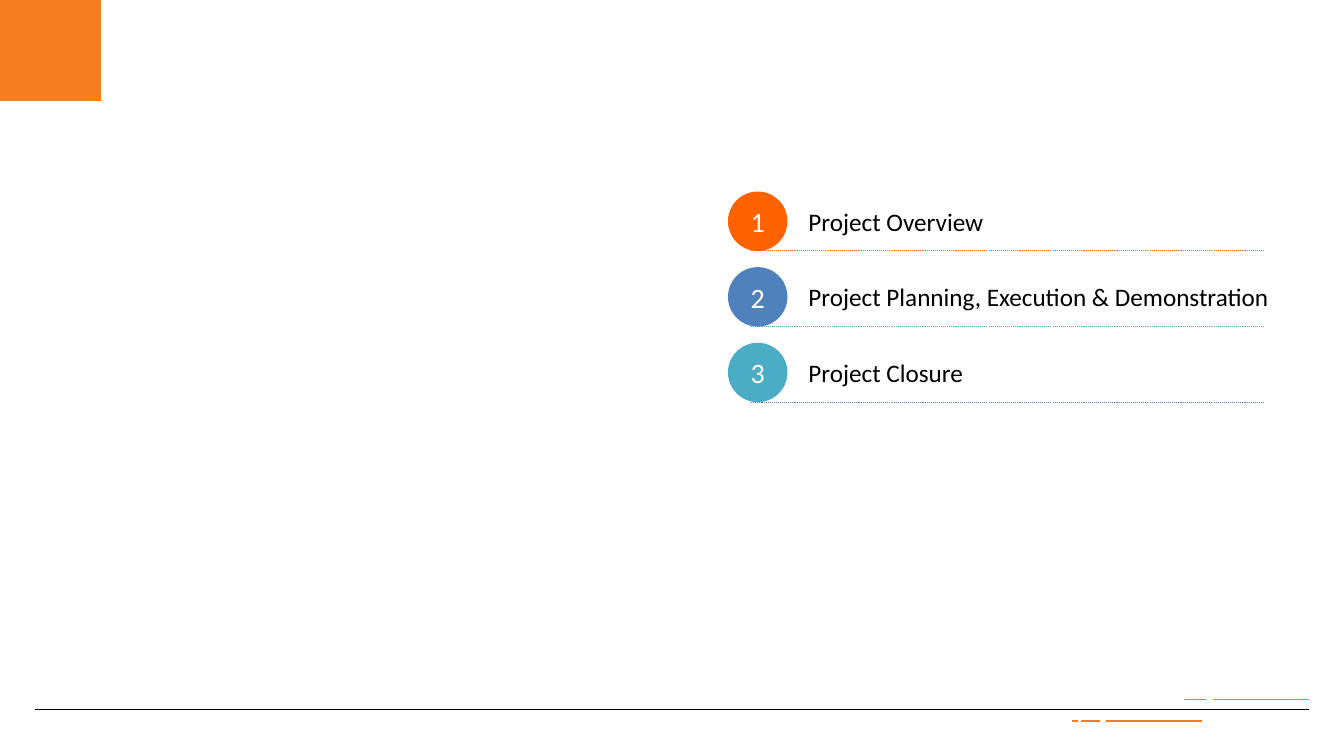
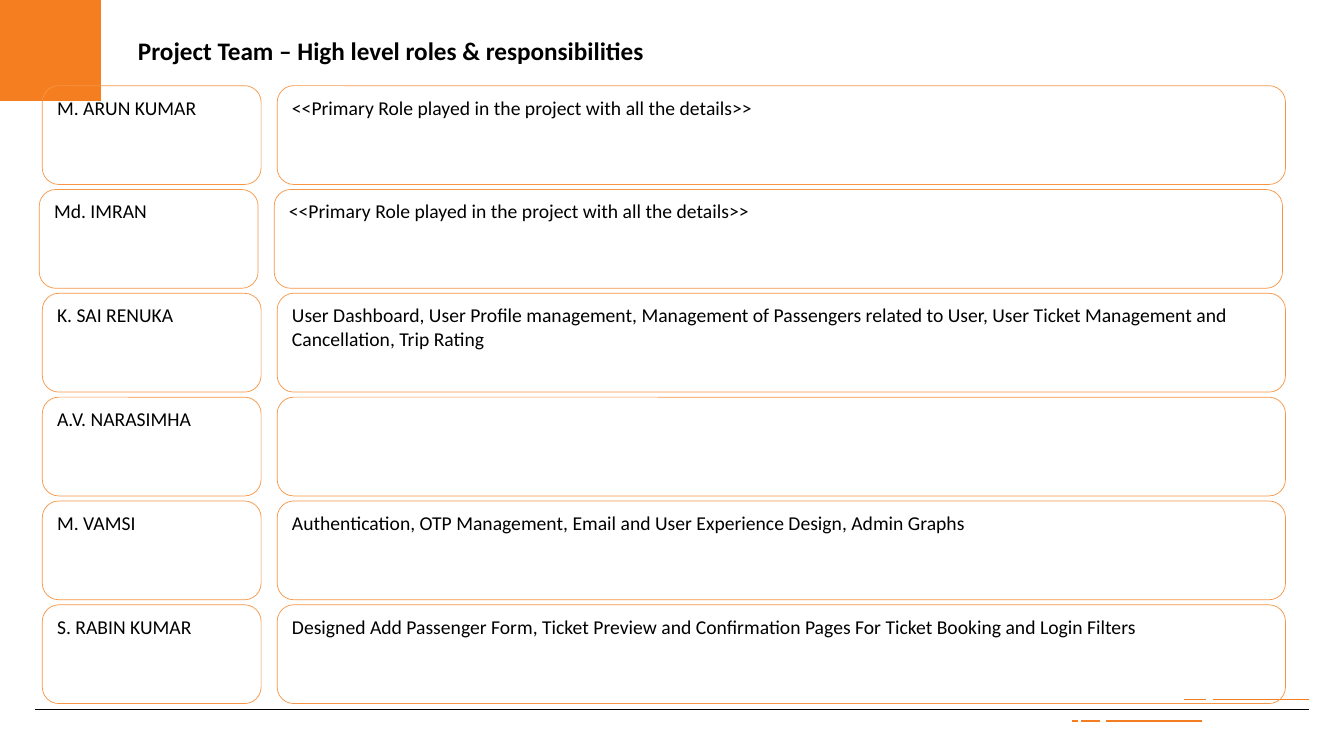
from dataclasses import dataclass
from typing import NamedTuple, Optional

from lxml.etree import SubElement
from pptx import Presentation
from pptx.dml.color import RGBColor
from pptx.enum.dml import MSO_LINE
from pptx.enum.shapes import MSO_CONNECTOR, MSO_SHAPE
from pptx.enum.text import MSO_ANCHOR, PP_ALIGN
from pptx.oxml.ns import qn
from pptx.shapes.base import BaseShape
from pptx.slide import Slide
from pptx.util import Inches, Pt


# Theme: colours, font, type sizes and line weights
@dataclass(frozen=True)
class Theme:
    font: str = "Calibri"
    black: str = "000000"
    white: str = "FFFFFF"
    flag: str = "F47E20"
    dash: str = "F57D21"
    frame: str = "F79646"
    orange: str = "FF6200"
    blue: str = "4F81BD"
    teal: str = "4BACC6"
    heading_size: float = 18
    number_size: float = 20
    body_size: float = 14
    footer_weight: float = 1.24
    rule_weight: float = 0.75
    frame_weight: float = 0.5


THEME = Theme()


class Area(NamedTuple):
    left: float
    top: float
    width: float
    height: float


class Rule(NamedTuple):
    left: float
    right: float
    top: float
    color: str


class AgendaItem(NamedTuple):
    title: str
    badge_color: str
    rule_color: str
    width: float = 3.74


class Member(NamedTuple):
    name: str
    role: str
    shift: float = 0


# Shared page furniture
FLAG_PARTS = [
    [(0.97, 0.35), (0, 0.35), (0, 0.63), (0.83, 0.63)],
    [(1.08, 0.35), (1, 0.35), (0.86, 0.63), (0.94, 0.63)],
    [(1.2, 0.35), (1.12, 0.35), (1.04, 0.51), (1.12, 0.51)],
]
FOOTER_RULES = [
    Rule(0.35, 12.98, 7.04, THEME.black),
    Rule(12.03, 12.98, 6.94, THEME.dash),
    Rule(11.74, 11.96, 6.94, THEME.dash),
    Rule(10.97, 11.92, 7.15, THEME.dash),
    Rule(10.72, 10.91, 7.15, THEME.dash),
    Rule(10.63, 10.69, 7.15, THEME.dash),
]
TITLE_AREA = Area(1.27, 0.25, 7.2, 0.51)

# Slide content
AGENDA = [
    AgendaItem("Project Overview", THEME.orange, THEME.orange),
    AgendaItem("Project Planning, Execution & Demonstration",
               THEME.blue, THEME.teal, 5.08),
    AgendaItem("Project Closure", THEME.teal, THEME.blue),
]
ROLE_PROMPT = "<<Primary Role played in the project with all the details>>"
TEAM = [
    Member("M. ARUN KUMAR", ROLE_PROMPT),
    Member("Md. IMRAN", ROLE_PROMPT, -0.03),
    Member("K. SAI RENUKA",
           "User Dashboard, User Profile management, Management of Passengers "
           "related to User, User Ticket Management and Cancellation, Trip Rating"),
    Member("A.V. NARASIMHA", ""),
    Member("M. VAMSI", "Authentication, OTP Management, Email and User "
                       "Experience Design, Admin Graphs"),
    Member("S. RABIN KUMAR", "Designed Add Passenger Form, Ticket Preview and "
                             "Confirmation Pages For Ticket Booking and Login Filters"),
]


# Drawing functions
def rgb(color: str) -> RGBColor:
    return RGBColor.from_string(color)


def write(box: BaseShape, text: str, size: float, color: str = THEME.black,
          align: PP_ALIGN = PP_ALIGN.LEFT,
          anchor: MSO_ANCHOR = MSO_ANCHOR.MIDDLE, bold: bool = False) -> None:
    frame = box.text_frame
    frame.word_wrap = True
    frame.vertical_anchor = anchor
    para = frame.paragraphs[0]
    para.text = text
    para.alignment = align
    para.font.name = THEME.font
    para.font.size = Pt(size)
    para.font.bold = bold
    para.font.color.rgb = rgb(color)


def add_label(page: Slide, area: Area, text: str, bold: bool = False) -> None:
    box = page.shapes.add_textbox(*map(Inches, area))
    write(box, text, THEME.heading_size, bold=bold)


def add_box(page: Slide, preset: MSO_SHAPE, area: Area,
            fill: Optional[str] = None, line: Optional[str] = None) -> BaseShape:
    box = page.shapes.add_shape(preset, *map(Inches, area))
    box.shadow.inherit = False
    if fill:
        box.fill.solid()
        box.fill.fore_color.rgb = rgb(fill)
    else:
        box.fill.background()
    if line:
        box.line.color.rgb = rgb(line)
        box.line.width = Pt(THEME.frame_weight)
    else:
        box.line.fill.background()
    return box


def add_rule(page: Slide, rule: Rule, weight: float,
             dash: Optional[MSO_LINE] = None) -> None:
    ends = map(Inches, (rule.left, rule.top, rule.right, rule.top))
    connector = page.shapes.add_connector(MSO_CONNECTOR.STRAIGHT, *ends)
    connector.line.color.rgb = rgb(rule.color)
    connector.line.width = Pt(weight)
    if dash:
        connector.line.dash_style = dash
    SubElement(connector._element.spPr, qn("a:effectLst"))


def add_flag(page: Slide) -> None:
    builder = page.shapes.build_freeform(*FLAG_PARTS[0][0], scale=Inches(1))
    for index, (start, *corners) in enumerate(FLAG_PARTS):
        if index:
            builder.move_to(*start)
        builder.add_line_segments(corners, close=True)
    flag = builder.convert_to_shape()
    flag.shadow.inherit = False
    flag.fill.solid()
    flag.fill.fore_color.rgb = rgb(THEME.flag)
    flag.line.fill.background()


def add_page(deck: Presentation, title: str = "") -> Slide:
    page = deck.slides.add_slide(deck.slide_layouts[6])
    add_flag(page)
    for rule in FOOTER_RULES:
        add_rule(page, rule, THEME.footer_weight)
    if title:
        add_label(page, TITLE_AREA, title, bold=True)
    return page


# Slide 1: numbered agenda
def add_agenda(page: Slide) -> None:
    first_top, pitch, badge_size = 1.9, 0.75, 0.59
    for index, item in enumerate(AGENDA):
        top = first_top + index * pitch
        rule = Rule(7.45, 12.53, top + badge_size, item.rule_color)
        add_rule(page, rule, THEME.rule_weight, MSO_LINE.ROUND_DOT)
        badge = add_box(page, MSO_SHAPE.OVAL,
                        Area(7.22, top, badge_size, badge_size),
                        fill=item.badge_color)
        write(badge, str(index + 1), THEME.number_size, THEME.white,
              PP_ALIGN.CENTER)
        add_label(page, Area(7.92, top, item.width, badge_size), item.title)


# Slide 2: team members and their roles
def add_team(page: Slide) -> None:
    first_top, pitch, height = 0.85, 1.03, 0.98
    for index, member in enumerate(TEAM):
        top = first_top + index * pitch
        cells = ((member.name, 0.42, 2.17), (member.role, 2.75, 10))
        for text, left, width in cells:
            box = add_box(page, MSO_SHAPE.ROUNDED_RECTANGLE,
                          Area(left + member.shift, top, width, height),
                          line=THEME.frame)
            if text:
                write(box, text, THEME.body_size, anchor=MSO_ANCHOR.TOP)


# Build the deck
deck = Presentation()
deck.slide_width, deck.slide_height = Inches(13.33), Inches(7.5)
add_agenda(add_page(deck))
add_team(add_page(deck, "Project Team – High level roles & responsibilities"))
deck.save("out.pptx")
